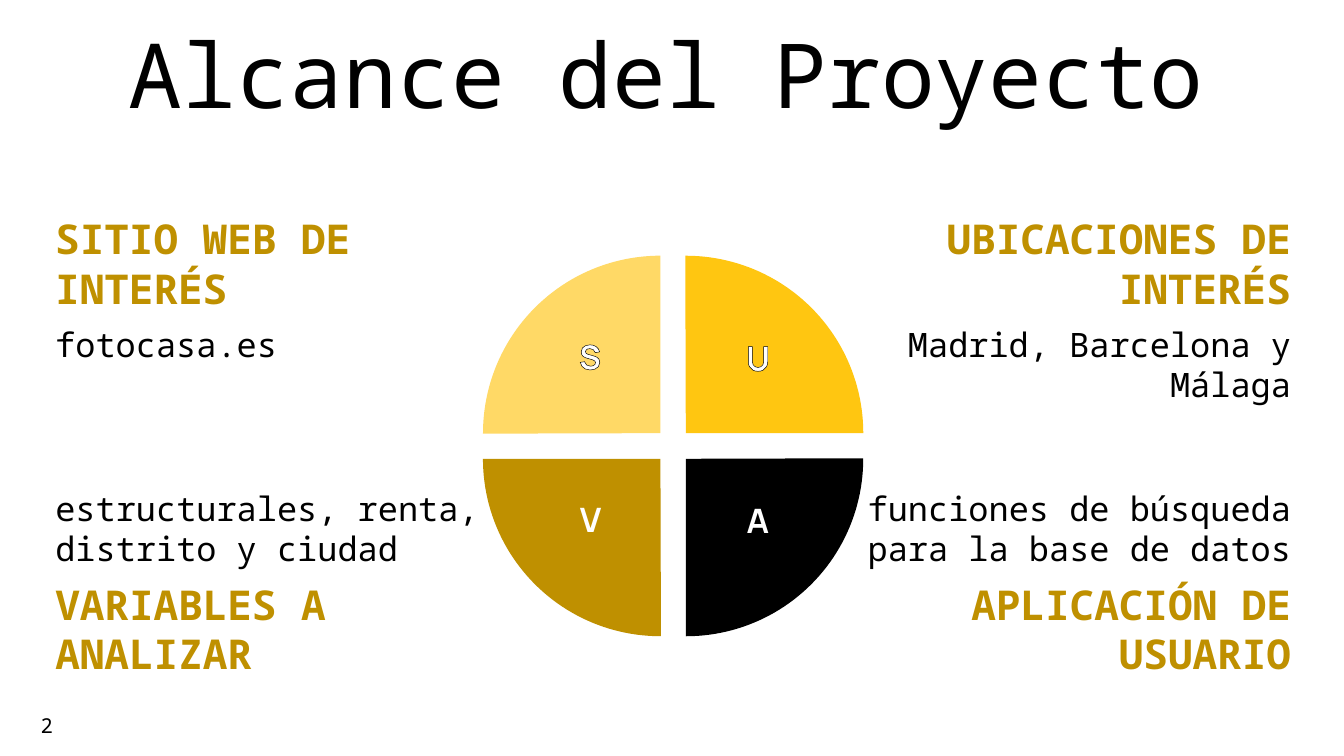
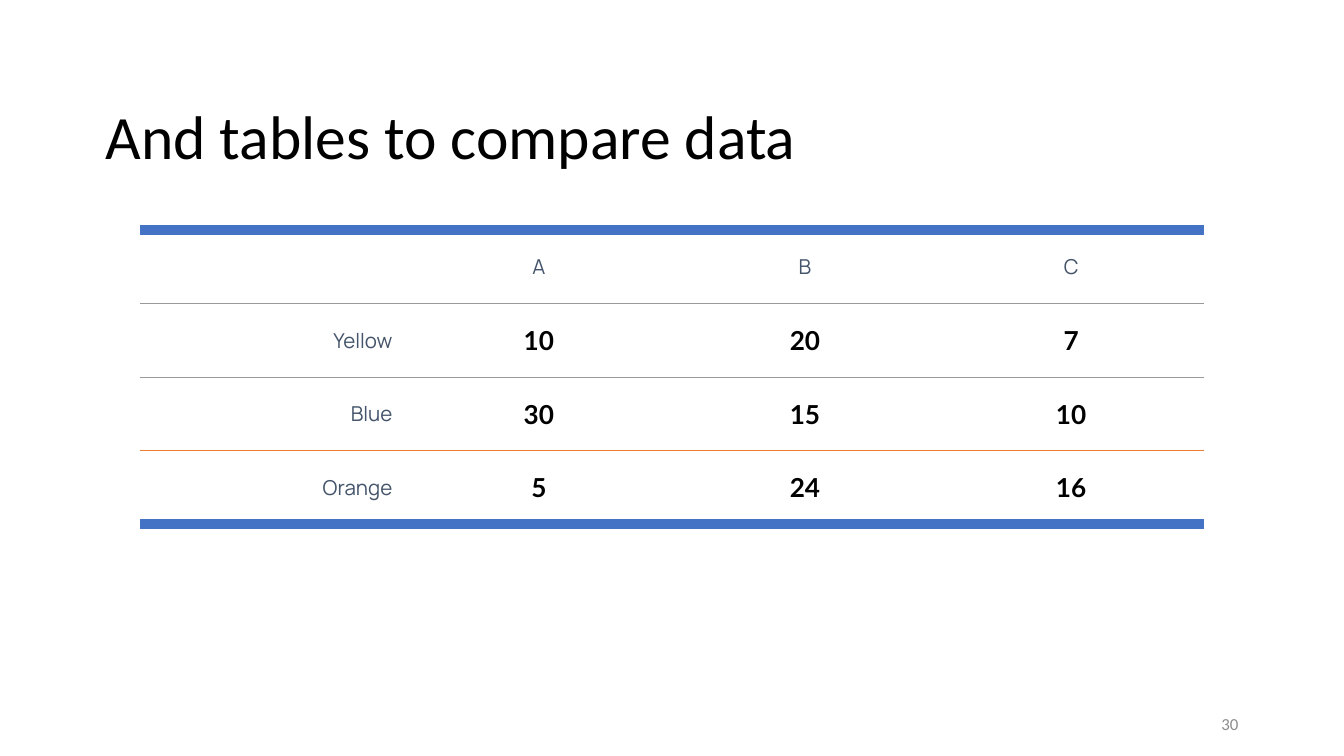
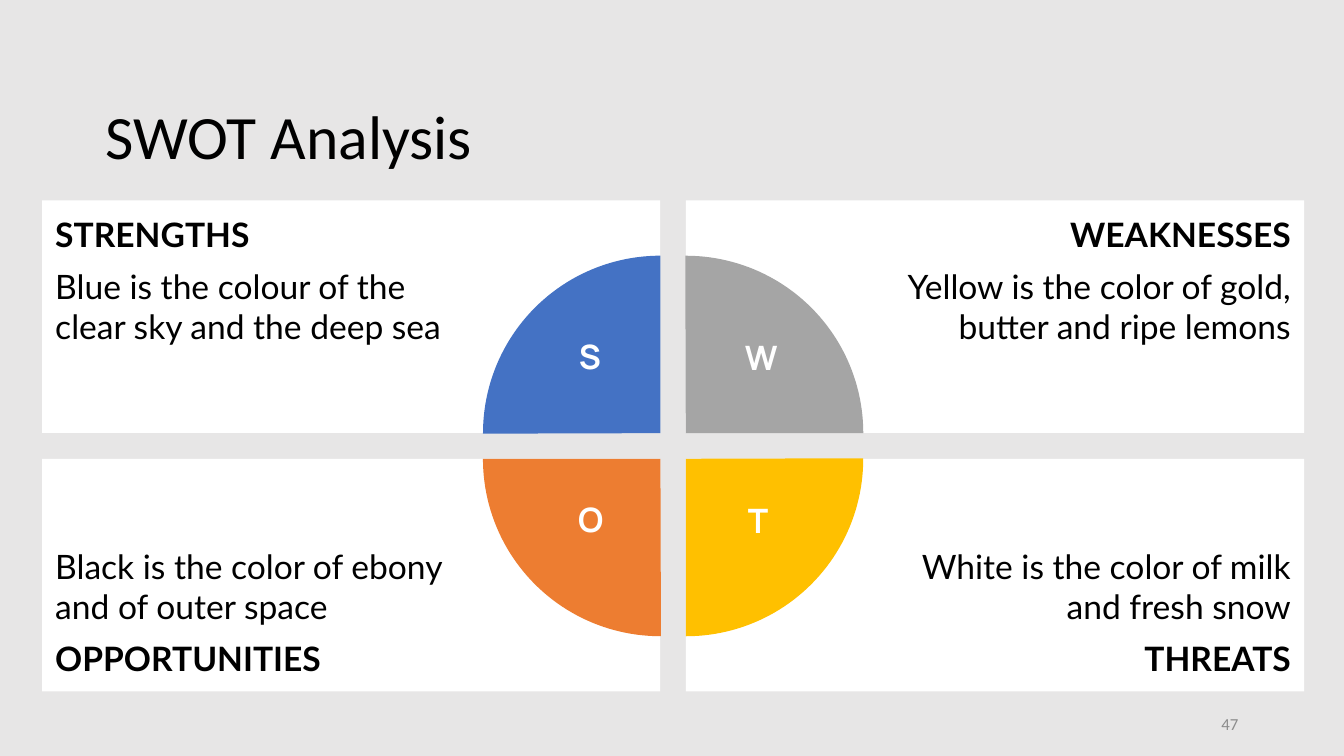
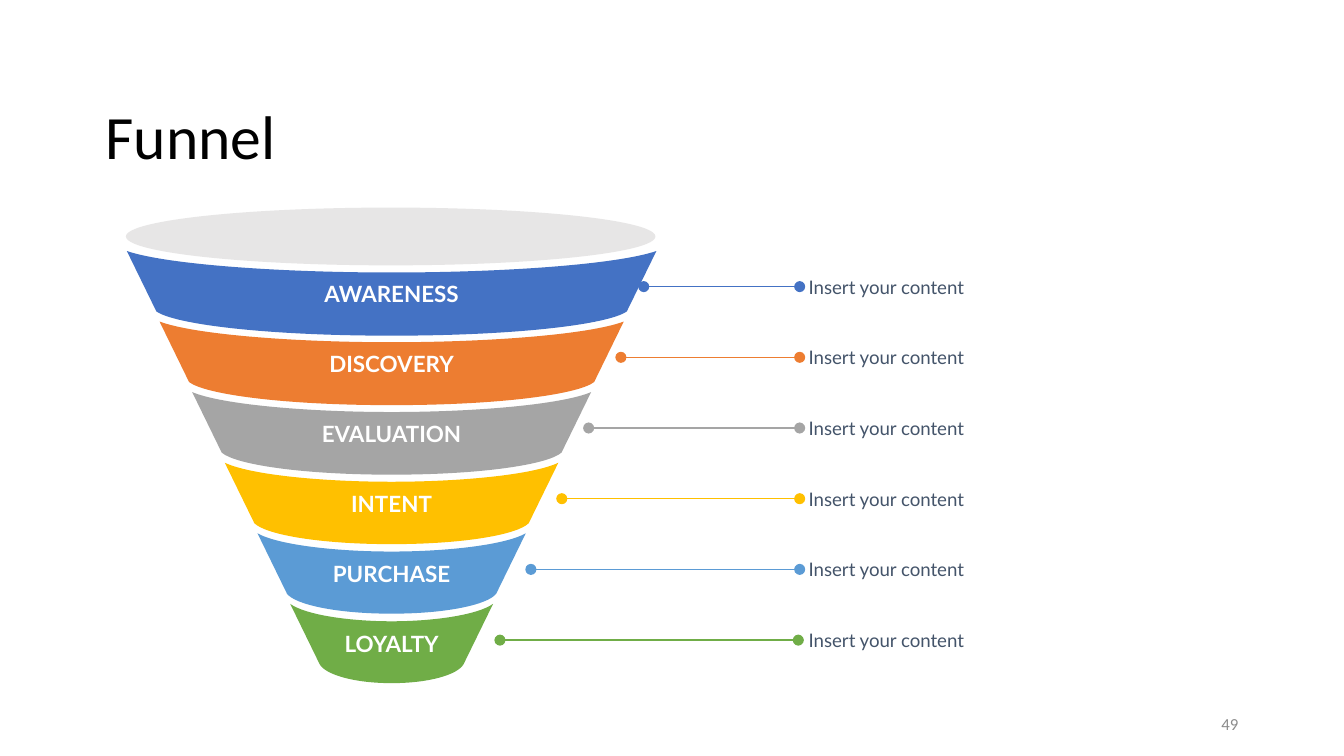
"""Build four slides on a grid of 100 columns by 56.25 rows."""
from dataclasses import dataclass
from typing import NamedTuple

from lxml.etree import SubElement
from pptx import Presentation
from pptx.dml.color import RGBColor
from pptx.enum.shapes import MSO_CONNECTOR, MSO_SHAPE
from pptx.enum.text import MSO_ANCHOR, PP_ALIGN
from pptx.oxml import parse_xml
from pptx.oxml.ns import nsdecls, qn
from pptx.util import Inches, Pt

CELL = Inches(0.1)
COLS, ROWS = 100, 56.25
LEFT, CENTER, RIGHT = PP_ALIGN.LEFT, PP_ALIGN.CENTER, PP_ALIGN.RIGHT
TOP, MIDDLE, BOTTOM = MSO_ANCHOR.TOP, MSO_ANCHOR.MIDDLE, MSO_ANCHOR.BOTTOM

COLORS = {
    "white": "FFFFFF", "black": "000000", "mist": "E7E6E6", "slate": "44546A",
    "number": "8C8C8C", "rule": "999999", "blue": "4472C4", "orange": "ED7D31",
    "gray": "A5A5A5", "yellow": "FFC000", "sky": "5B9BD5", "green": "70AD47",
    "cream": "FFD966", "gold": "FFC611", "ochre": "BF9000",
}
MONO, LATO, MANROPE, CALIBRI = "Noto Sans Mono", "Lato", "Manrope", "Calibri"
FORMATS = {
    "title": dict(name=CALIBRI, size=33, color="black"),
    "mono title": dict(name=MONO, size=48, color="black"),
    "number": dict(name=CALIBRI, size=9, color="number"),
    "mono number": dict(name=MONO, size=11, color="black"),
    "heading": dict(name=LATO, size=18, color="black", bold=True),
    "body": dict(name=LATO, size=18, color="black", bold=False),
    "mono heading": dict(name=MONO, size=22, color="ochre", bold=True),
    "mono body": dict(name=MONO, size=18, color="black", bold=False),
    "letter": dict(name=MANROPE, size=18, color="white", bold=True),
    "label": dict(name=MANROPE, size=11, color="slate", bold=False),
    "value": dict(name=LATO, size=14, color="black", bold=True),
    "stage": dict(name=LATO, size=12, color="white", bold=True),
    "note": dict(name=LATO, size=10, color="slate"),
}


class Box(NamedTuple):
    x: float
    y: float
    w: float
    h: float


class Para(NamedTuple):
    text: str
    fmt: str
    before: float = 0
    after: float = 0
    spacing: float | None = None


@dataclass
class Quadrant:
    heading: str
    body: str
    letter: str
    color: str
    left: float
    width: float
    letter_box: Box
    outlined: bool = False


@dataclass
class Stage:
    name: str
    color: str
    line_start: float
    line_end: float = 59.5


TITLE_BOX = Box(6.88, 2.99, 86.25, 10.87)
NUMBER_BOX = Box(70.63, 52.32, 22.5, 3)
PADDING = (1, 1, 1, 1)
PANEL_HEIGHT = 17.3
PANEL_TOPS = (14.92, 34.15)
PIE_SIZE = 26.4
PIE_CORNERS = ((35.94, 19.03), (37.83, 19.03), (37.83, 20.94), (35.94, 20.94))
PIE_ORDER = (0, 1, 3, 2)
LETTERS = (Box(42, 24.5, 3.8, 4.9), Box(54.4, 24.6, 4, 4.8),
           Box(41.6, 36.6, 4.7, 4.9), Box(54.4, 36.7, 4, 4.8))

SCOPE = (
    Quadrant("SITIO WEB DE INTERÉS", "fotocasa.es", "S", "cream",
             3.13, 46, LETTERS[0], True),
    Quadrant("UBICACIONES DE INTERÉS", "Madrid, Barcelona y Málaga", "U", "gold",
             45.84, 51.2, LETTERS[1], True),
    Quadrant("VARIABLES A ANALIZAR", "estructurales, renta, distrito y ciudad", "V",
             "ochre", 3.13, 47.9, LETTERS[2]),
    Quadrant("APLICACIÓN DE USUARIO", "funciones de búsqueda para la base de datos",
             "A", "black", 47.14, 49.9, LETTERS[3]),
)
SWOT = (
    Quadrant("STRENGTHS", "Blue is the colour of the clear sky and the deep sea",
             "S", "blue", 3.13, 46, LETTERS[0]),
    Quadrant("WEAKNESSES", "Yellow is the color of gold, butter and ripe lemons",
             "W", "gray", 51.04, 46, Box(53.1, 24.6, 7.1, 4.8)),
    Quadrant("OPPORTUNITIES", "Black is the color of ebony and of outer space",
             "O", "orange", 3.13, 46, LETTERS[2]),
    Quadrant("THREATS", "White is the color of milk and fresh snow",
             "T", "yellow", 51.04, 46, LETTERS[3]),
)
TABLE_ROWS = (
    ("", "A", "B", "C"),
    ("Yellow", "10", "20", "7"),
    ("Blue", "30", "15", "10"),
    ("Orange", "5", "24", "16"),
)
TABLE_RULES = (("blue", 6), ("rule", 0.75), ("rule", 0.75), ("orange", 0.75), ("blue", 6))
STAGES = (
    Stage("AWARENESS", "blue", 47.9), Stage("DISCOVERY", "orange", 46.2),
    Stage("EVALUATION", "gray", 43.8), Stage("INTENT", "yellow", 41.8),
    Stage("PURCHASE", "sky", 39.5), Stage("LOYALTY", "green", 37.2, 59.4),
)
CURVE_STARTS = (0, 3, 7, 10)


def emu(cells: float) -> int:
    return round(cells * CELL)


def frame(box: Box) -> tuple:
    return tuple(emu(v) for v in box)


def rgb(color: str) -> RGBColor:
    return RGBColor.from_string(COLORS[color])


def set_all(target, values: dict) -> None:
    for key, value in values.items():
        setattr(target, key, value)


def style_font(font, fmt: str) -> None:
    values = dict(FORMATS[fmt])
    font.color.rgb = rgb(values.pop("color"))
    values["size"] = Pt(values["size"])
    set_all(font, values)


def write(tf, paras: list, align=LEFT, anchor=TOP, insets: tuple = PADDING) -> None:
    sides = ("margin_left", "margin_top", "margin_right", "margin_bottom")
    set_all(tf, dict(zip(sides, map(emu, insets)), word_wrap=True, vertical_anchor=anchor))
    for i, para in enumerate(paras):
        p = tf.add_paragraph() if i else tf.paragraphs[0]
        set_all(p, dict(alignment=align, space_before=Pt(para.before),
                        space_after=Pt(para.after), line_spacing=para.spacing))
        r = p.add_run()
        r.text = para.text
        style_font(r.font, para.fmt)


def add_text(s, box: Box, paras: list, **layout):
    sp = s.shapes.add_textbox(*frame(box))
    write(sp.text_frame, paras, **layout)
    return sp


def paint(sp, color: str) -> None:
    sp.shadow.inherit = False
    sp.fill.solid()
    sp.fill.fore_color.rgb = rgb(color)
    sp.line.fill.background()


def add_filled(s, kind, box: Box, color: str):
    sp = s.shapes.add_shape(kind, *frame(box))
    paint(sp, color)
    return sp


def new_slide(prs, background: str = "white"):
    s = prs.slides.add_slide(prs.slide_layouts[6])
    s.background.fill.solid()
    s.background.fill.fore_color.rgb = rgb(background)
    return s


def add_title_and_number(s, title: str, number: str) -> None:
    add_text(s, TITLE_BOX, [Para(title, "title", spacing=0.9)], anchor=BOTTOM)
    add_text(s, NUMBER_BOX, [Para(number, "number")], align=RIGHT)


def outline_text(r) -> None:
    ln = parse_xml(f'<a:ln {nsdecls("a")} w="{Pt(0.75)}"><a:solidFill>'
                   f'<a:srgbClr val="{COLORS["black"]}"/></a:solidFill></a:ln>')
    r._r.get_or_add_rPr().insert(0, ln)


def add_quadrants(s, quadrants: tuple, prefix: str = "") -> None:
    for i, q in enumerate(quadrants):
        row, col = divmod(i, 2)
        box = Box(q.left, PANEL_TOPS[row], q.width, PANEL_HEIGHT)
        sp = add_filled(s, MSO_SHAPE.RECTANGLE, box, "white")
        texts = [(q.heading, prefix + "heading"), (q.body, prefix + "body")]
        if row:
            texts.reverse()
        paras = [Para(*texts[0]), Para(*texts[1], before=6, after=6)]
        write(sp.text_frame, paras, align=RIGHT if col else LEFT,
              anchor=BOTTOM if row else TOP,
              insets=(15, 1, 1, 1) if col else (1, 1, 15, 1))
    for turn, (index, corner) in enumerate(zip(PIE_ORDER, PIE_CORNERS)):
        sp = add_filled(s, MSO_SHAPE.PIE, Box(*corner, PIE_SIZE, PIE_SIZE),
                        quadrants[index].color)
        sp.adjustments[0], sp.adjustments[1] = 107.89, 162
        sp.rotation = 90 * turn
    for q in quadrants:
        sp = add_text(s, q.letter_box, [Para(q.letter, "letter")],
                      align=CENTER, insets=(0, 0.5, 0, 0.5))
        if q.outlined:
            outline_text(sp.text_frame.paragraphs[0].runs[0])


def set_border(cell, side: str, color: str, width: float) -> None:
    ln = SubElement(cell._tc.get_or_add_tcPr(), qn(f"a:{side}"), w=str(Pt(width)))
    if width:
        fill = SubElement(ln, qn("a:solidFill"))
        SubElement(fill, qn("a:srgbClr"), val=COLORS[color])
    else:
        SubElement(ln, qn("a:noFill"))


def add_data_table(s) -> None:
    box = Box(10.4, 17.12, 79.2, 21.9)
    table = s.shapes.add_table(len(TABLE_ROWS), len(TABLE_ROWS[0]), *frame(box)).table
    set_all(table, dict(first_row=False, horz_banding=False))
    for i, row in enumerate(TABLE_ROWS):
        for j, text in enumerate(row):
            cell = table.cell(i, j)
            set_all(cell, dict(margin_left=emu(1), margin_right=emu(1),
                               margin_top=emu(0.7), margin_bottom=emu(0.7),
                               vertical_anchor=MIDDLE))
            p = cell.text_frame.paragraphs[0]
            fmt = "value" if i and j else "label"
            if text:
                p.alignment = CENTER if j else RIGHT
                r = p.add_run()
                r.text = text
                style_font(r.font, fmt)
            else:
                style_font(p.font, fmt)
            for side, rule in (("lnL", ("white", 0)), ("lnR", ("white", 0)),
                               ("lnT", TABLE_RULES[i]), ("lnB", TABLE_RULES[i + 1])):
                set_border(cell, side, *rule)
            cell.fill.background()


def full_arc(center: float, half: float, y: float, depth: float,
             near: tuple, far: float) -> list:
    side = ((half, y), (half * (1 - near[0]), y + depth * near[1]),
            (half * far, y + depth))
    left = [(center - dx, py) for dx, py in side]
    right = [(center + dx, py) for dx, py in reversed(side)]
    return left + [(center, y + depth)] + right


def bend(sp) -> None:
    lines = list(sp._element.iter(qn("a:lnTo")))
    for start in CURVE_STARTS:
        first, *rest = lines[start:start + 3]
        first.tag
        curve = parse_xml(f'<a:cubicBezTo {nsdecls("a")}/>')
        first.addprevious(curve)
        for line in (first, *rest):
            curve.append(line[0])
            line.getparent().remove(line)


def add_stage(s, i: int, stage: Stage) -> None:
    center, top, half = 29.14, 18.68 + 5.25 * i, 19.7 - 2.43 * i
    shoulder, bottom = top + 4.5, top + 6.3 - 0.08 * i
    upper = full_arc(center, half, top, 1.6 - 0.06 * i, (0.15, 0.63), 0.42)
    lower = full_arc(center, half - 2.2, shoulder, bottom - shoulder, (0.08, 0.54), 0.53)
    points = [(emu(x), emu(y)) for x, y in upper + lower[::-1]]
    builder = s.shapes.build_freeform(*points[0])
    builder.add_line_segments(points[1:], close=True)
    sp = builder.convert_to_shape()
    bend(sp)
    paint(sp, stage.color)
    write(sp.text_frame, [Para(stage.name, "stage")], align=CENTER,
          anchor=MIDDLE, insets=(0.7, 0.4, 0.7, 0.4))


def add_callout(s, i: int, stage: Stage) -> None:
    y = 21.33 + 5.26 * i
    line = s.shapes.add_connector(MSO_CONNECTOR.STRAIGHT, emu(stage.line_start), emu(y),
                                  emu(stage.line_end), emu(y))
    line.line.color.rgb = rgb(stage.color)
    line.line.width = Pt(0.75)
    for end in ("headEnd", "tailEnd"):
        SubElement(line.line._get_or_add_ln(), qn(f"a:{end}"), type="oval")
    SubElement(line._element.spPr, qn("a:effectLst"))
    add_text(s, Box(60.17, y - 1.9, 30.5, 3.8), [Para("Insert your content", "note")],
             anchor=MIDDLE, insets=(0, 0, 0, 0))


def scope_slide(prs) -> None:
    s = new_slide(prs)
    add_quadrants(s, SCOPE, "mono ")
    add_text(s, Box(1.42, 0.9, 96.3, 9.6),
             [Para("Alcance del Proyecto", "mono title", spacing=0.9)],
             align=CENTER, anchor=BOTTOM)
    add_text(s, Box(2.04, 52.1, 2.5, 3), [Para("2", "mono number")], align=RIGHT)


def table_slide(prs) -> None:
    s = new_slide(prs)
    add_title_and_number(s, "And tables to compare data", "30")
    add_data_table(s)


def swot_slide(prs) -> None:
    s = new_slide(prs, "mist")
    add_title_and_number(s, "SWOT Analysis", "47")
    add_quadrants(s, SWOT)


def funnel_slide(prs) -> None:
    s = new_slide(prs)
    add_title_and_number(s, "Funnel", "49")
    for i, stage in enumerate(STAGES):
        add_stage(s, i, stage)
    add_filled(s, MSO_SHAPE.OVAL, Box(9.37, 15.45, 39.4, 4.3), "mist")
    for i, stage in enumerate(STAGES):
        add_callout(s, i, stage)


def main() -> None:
    prs = Presentation()
    prs.slide_width, prs.slide_height = emu(COLS), emu(ROWS)
    for build in (scope_slide, table_slide, swot_slide, funnel_slide):
        build(prs)
    prs.save("out.pptx")


if __name__ == "__main__":
    main()
